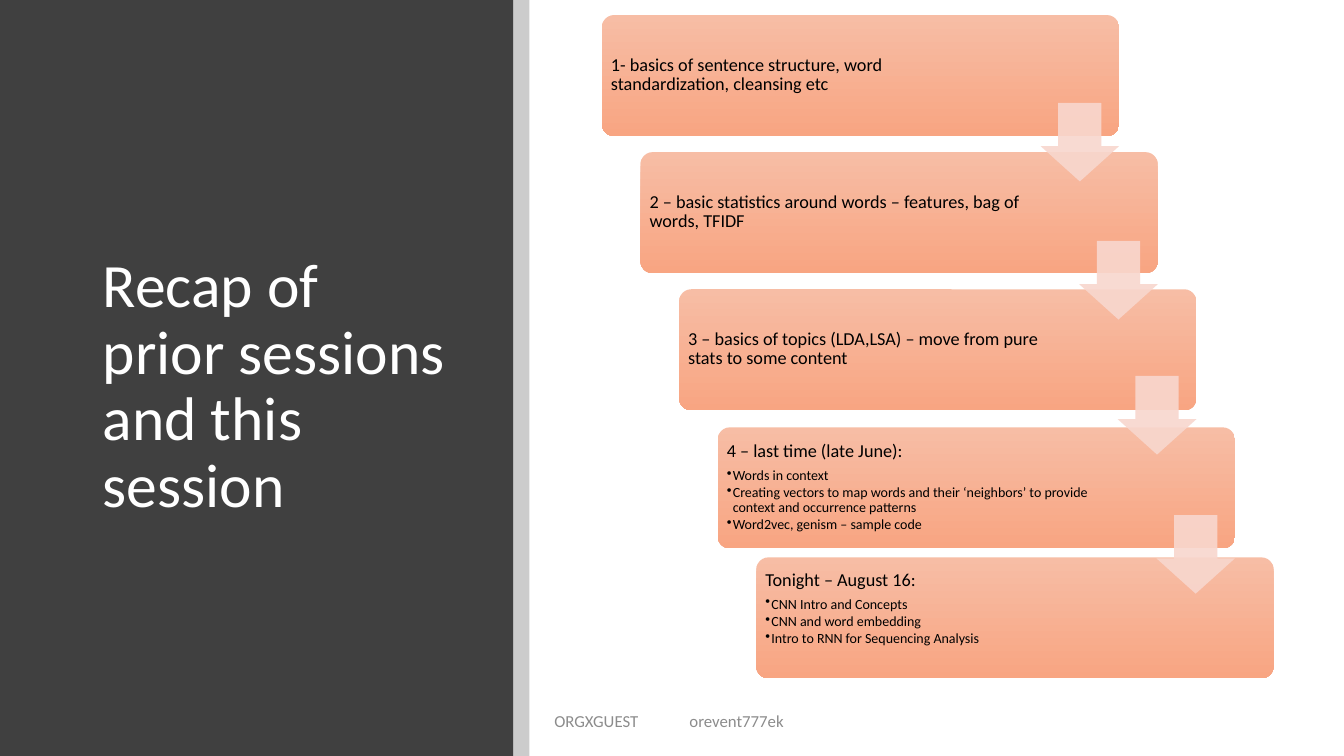
"""Build the recap slide: a dark title panel beside five descending steps."""
import pptx
import pptx.chart.data
import pptx.dml.color
import pptx.enum.shapes
import pptx.enum.text
import pptx.oxml.ns
import pptx.util
import lxml.etree

Inches = pptx.util.Inches
Pt = pptx.util.Pt
RGBColor = pptx.dml.color.RGBColor
Kind = pptx.enum.shapes.MSO_SHAPE
Anchor = pptx.enum.text.MSO_ANCHOR
qn = pptx.oxml.ns.qn

BLACK = RGBColor(0, 0, 0)
WHITE = RGBColor(255, 255, 255)
DARK = RGBColor(0x40, 0x40, 0x40)
GREY = RGBColor(0x8C, 0x8C, 0x8C)
PEACH = RGBColor(0xF7, 0xBD, 0xA5)
CORAL = RGBColor(0xF8, 0xA5, 0x82)
PINK = RGBColor(0xF8, 0xD7, 0xCE)

STEPS = [
    (0.15, 3.7, "1- basics of sentence structure, word standardization, cleansing etc", []),
    (1.51, 3.9, "2 – basic statistics around words – features, bag of words, TFIDF", []),
    (2.87, 3.9, "3 – basics of topics (LDA,LSA) – move from pure stats to some content", []),
    (4.24, 3.9, "4 – last time (late June):", [
        "Words in context",
        "Creating vectors to map words and their ‘neighbors’ to provide context and occurrence patterns",
        "Word2vec, genism – sample code"]),
    (5.53, 3.9, "Tonight – August 16:", [
        "CNN Intro and Concepts",
        "CNN and word embedding",
        "Intro to RNN for Sequencing Analysis"]),
]
DROPS = [1.02, 2.39, 3.73, 5.11]
LEFT, SHIFT = 5.97, 0.383


def draw(kind, left, top, width, height, color, alpha=100):
    shape = slide.shapes.add_shape(kind, Inches(left), Inches(top), Inches(width), Inches(height))
    shape.shadow.inherit = False
    shape.line.fill.background()
    shape.fill.solid()
    shape.fill.fore_color.rgb = color
    if alpha < 100:
        for tone in shape.element.spPr.iter(qn("a:srgbClr")):
            lxml.etree.SubElement(tone, qn("a:alpha"), val=str(alpha * 1000))
    return shape


def style(para, size, color):
    for run in para.runs:
        run.font.name = "Calibri"
        run.font.size = Pt(size)
        run.font.color.rgb = color


deck = pptx.Presentation()
deck.slide_width = Inches(13.33)
deck.slide_height = Inches(7.5)
slide = deck.slides.add_slide(deck.slide_layouts[5])

draw(Kind.RECTANGLE, 0, 0, 5.09, 7.5, DARK)
draw(Kind.RECTANGLE, 5.09, 0, 0.16, 7.5, BLACK, 20)

title = slide.shapes.title
slide.shapes.element.append(title.element)
title.left, title.top = Inches(0.92), Inches(0.89)
title.width, title.height = Inches(3.65), Inches(5.91)
frame = title.text_frame
frame.text = "Recap of prior sessions and this session"
frame.word_wrap = True
frame.auto_size = pptx.enum.text.MSO_AUTO_SIZE.NONE
frame.vertical_anchor = Anchor.MIDDLE
para = frame.paragraphs[0]
para.alignment = pptx.enum.text.PP_ALIGN.LEFT
para.line_spacing = 0.9
style(para, 44, WHITE)

for i, (top, width, head, points) in enumerate(STEPS):
    left = LEFT + i * SHIFT
    card = draw(Kind.ROUNDED_RECTANGLE, left, top, 5.13, 1.2, PEACH)
    card.adjustments[0] = 0.1
    card.fill.gradient()
    card.fill.gradient_angle = 270
    for stop, color in zip(card.fill.gradient_stops, (PEACH, CORAL)):
        stop.color.rgb = color
    for stop, place in zip(card.fill.gradient_stops, (0, 1)):
        stop.position = place

    box = slide.shapes.add_textbox(Inches(left + 0.04), Inches(top + 0.03), Inches(width), Inches(1.13))
    frame = box.text_frame
    frame.word_wrap = True
    frame.vertical_anchor = Anchor.MIDDLE
    frame.margin_left = frame.margin_right = frame.margin_top = Inches(0.05)
    frame.margin_bottom = Inches(0.22 if i == 4 else 0.05)
    frame.text = "\n".join([head] + points)
    for n, para in enumerate(frame.paragraphs):
        para.line_spacing = 0.9
        para.space_after = Pt(1.5 if n else 4.5)
        style(para, 10 if n else 13, BLACK)
        if n:
            props = para._p.get_or_add_pPr()
            props.set("marL", str(Inches(0.06)))
            props.set("indent", str(-Inches(0.06)))
            lxml.etree.SubElement(props, qn("a:buChar"), char="•")

for i, top in enumerate(DROPS):
    arrow = draw(Kind.DOWN_ARROW, 10.32 + i * SHIFT, top, 0.78, 0.78, PINK, 90)
    arrow.adjustments[0] = 0.45
    arrow.adjustments[1] = 0.55
    arrow.adjustments[0], arrow.adjustments[1] = 0.55, 0.45

for left, word in ((5.4, "ORGXGUEST"), (6.74, "orevent777ek")):
    box = slide.shapes.add_textbox(Inches(left), Inches(6.95), Inches(1.3), Inches(0.4))
    frame = box.text_frame
    frame.word_wrap = True
    frame.vertical_anchor = Anchor.MIDDLE
    frame.text = word
    style(frame.paragraphs[0], 12, GREY)

deck.save("out.pptx")
